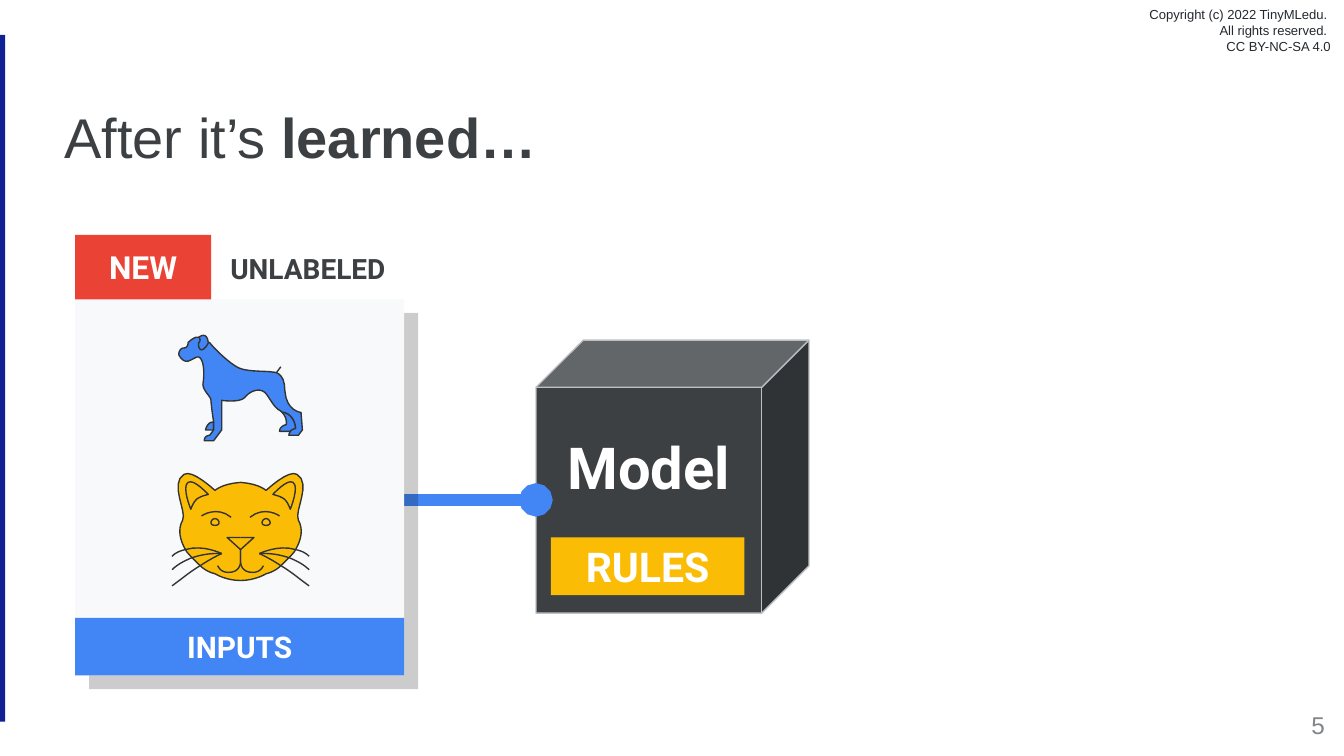
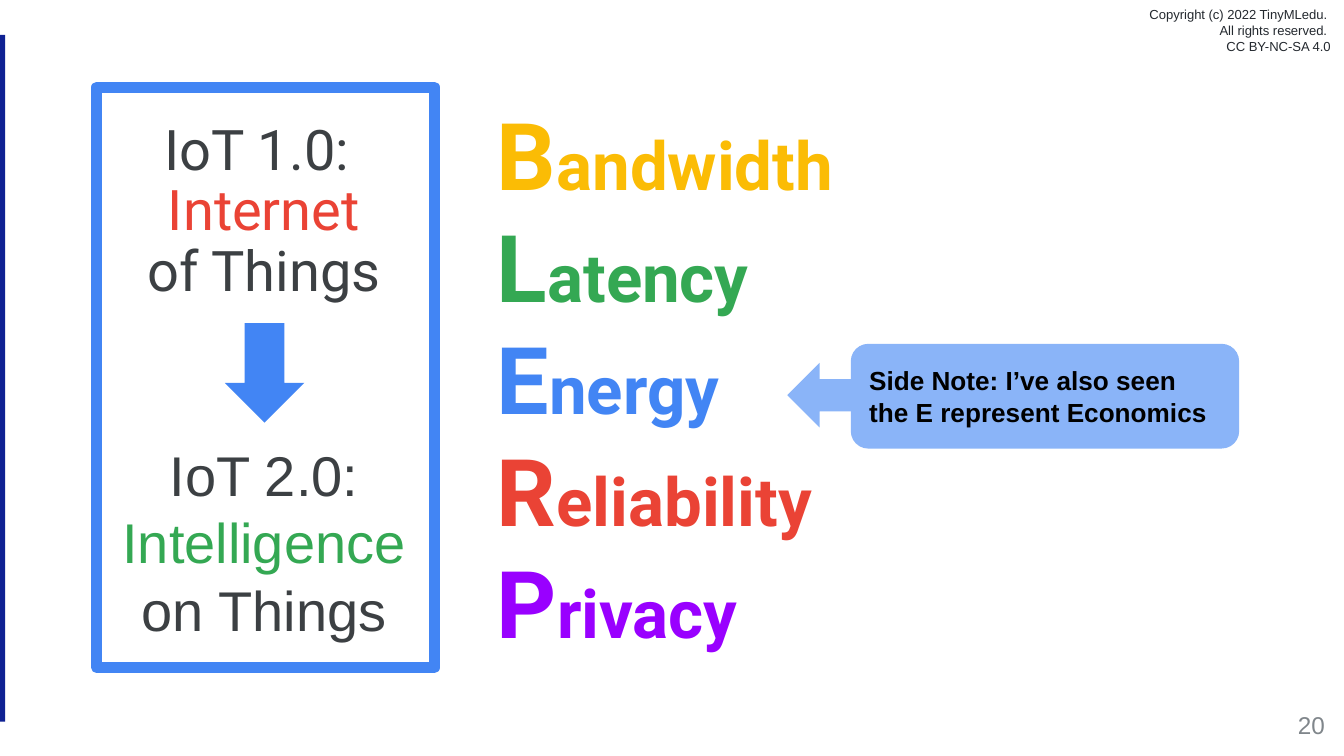
from lxml.etree import SubElement
from pptx import Presentation
from pptx.dml.color import RGBColor
from pptx.enum.shapes import MSO_CONNECTOR, MSO_SHAPE
from pptx.enum.text import MSO_ANCHOR, MSO_AUTO_SIZE, PP_ALIGN
from pptx.oxml.ns import qn
from pptx.util import Cm, Pt

COLORS = {
    "navy": "0F2193", "ink": "24292F", "dark": "3C4043", "gray": "80868B",
    "edge": "BDC1C6", "panel": "F8F9FA", "white": "FFFFFF", "black": "000000",
    "blue": "4285F4", "sky": "8AB4F8", "red": "EA4335", "yellow": "FBBC05",
    "green": "34A853", "purple": "9900FF", "outline": "333333",
}
COPYRIGHT = ["Copyright (c) 2022 TinyMLedu. ", "All rights reserved. ", "CC BY-NC-SA 4.0"]
LEARNED_TITLE = [["After it’s", (" learned…", {"bold": True})]]
IOT_FIRST = ["IoT 1.0: ", [("Internet", {"color": "red"})], "of Things"]
IOT_SECOND = [["IoT 2.0: ", ("Intelligence", {"color": "green"}), " on Things"]]
BENEFITS = [("Bandwidth", "yellow"), ("Latency", "green"), ("Energy", "blue"),
            ("Reliability", "red"), ("Privacy", "purple")]
SIDE_NOTE = ["Side Note: I’ve also seen the E represent Economics"]

# Each stroke is a start point, then lines (2 numbers) and curves (6 numbers).
ART_UNIT = Cm(0.0254)
DOG_REAR_LEG = [(209, 306), (209, 306, 214, 310, 213, 316), (213, 316, 208, 317, 208, 321),
                (216, 321), (220, 319), (220, 319, 220, 310, 212, 307), (209, 306)]
DOG_FRONT_PAW = [(159, 320), (153, 320), (153, 320, 154, 314, 159, 314), (159, 320)]
DOG_BODY = [
    (148, 251), (148, 251, 147, 251, 146, 251), (143, 252, 141, 254, 140, 255),
    (140, 257, 139, 259, 137, 259), (134, 259, 133, 262, 133, 264),
    (134, 266, 137, 271, 142, 268), (146, 266, 148, 264, 150, 268),
    (152, 272, 152, 280, 151, 286), (151, 291, 157, 295, 157, 298),
    (157, 300, 158, 308, 159, 314), (159, 320), (156, 324),
    (156, 324, 152, 324, 152, 328), (159, 328), (165, 320), (165, 298),
    (165, 298, 178, 300, 182, 296), (185, 292, 192, 288, 197, 292),
    (201, 296, 203, 303, 209, 306), (210, 307, 211, 307, 212, 307),
    (220, 310, 220, 319, 220, 319), (220, 319, 218, 319, 216, 321),
    (216, 322, 215, 322, 215, 324), (222, 324), (225, 320), (224, 307),
    (224, 307, 213, 306, 212, 291), (212, 276, 203, 277, 203, 277),
    (200, 276, 185, 277, 178, 274), (171, 271, 159, 259, 156, 255), (155, 255), (148, 251),
]
DOG_EAR = [(155, 255), (154, 246, 148, 251, 148, 251), (148, 251, 150, 253, 148, 255),
           (147, 258, 149, 260, 149, 260), (151, 262, 155, 256, 155, 255)]
DOG_TAIL = [(209, 273), (206, 277)]

CAT_MIDDLE = 179
CAT_HALF_HEAD = [
    (179, 359), (165, 360, 160, 365, 160, 365), (160, 365, 143, 349, 137, 353),
    (126, 360, 139, 380, 136, 387), (132, 394, 134, 402, 138, 409),
    (139, 411, 141, 413, 143, 415), (145, 417, 147, 419, 149, 421),
    (152, 424, 156, 426, 160, 427), (160, 427, 168, 432, 179, 432),
]
CAT_HALF_FEATURES = [
    [(155, 368), (155, 368, 144, 356, 140, 359), (135, 362, 142, 379, 142, 379),
     (142, 379, 144, 373, 147, 371), (150, 369, 155, 368, 155, 368)],
    [(163, 389), (163, 390, 162, 391, 160, 391), (158, 391, 157, 390, 157, 389),
     (157, 388, 158, 386, 160, 386), (162, 386, 163, 388, 163, 389)],
    [(150, 384), (150, 384, 161, 376, 172, 385)],
    [(165, 412), (165, 412, 151, 405, 138, 409), (134, 410, 131, 411, 128, 414)],
    [(165, 412), (165, 412, 155, 411, 143, 415), (138, 417, 132, 420, 128, 424)],
    [(165, 412), (165, 412, 158, 415, 149, 421), (142, 425, 135, 431, 128, 436)],
    [(179, 400), (169, 400), (179, 409), (179, 418),
     (179, 420, 178, 426, 170, 426), (165, 426, 163, 423, 162, 421)],
]


def rgb(name):
    return RGBColor.from_string(COLORS[name])


def style_font(font, color=None, size=None, name=None, bold=None):
    if color:
        font.color.rgb = rgb(color)
    if size:
        font.size = Pt(size)
    if name:
        font.name = name
    if bold is not None:
        font.bold = bold


def write(shape, lines, size, color, name="Roboto", bold=False, align=PP_ALIGN.CENTER,
          anchor=MSO_ANCHOR.MIDDLE, spacing=None, bottom=0.25):
    frame = shape.text_frame
    frame.word_wrap = True
    frame.auto_size = MSO_AUTO_SIZE.NONE
    frame.vertical_anchor = anchor
    frame.margin_left = frame.margin_right = frame.margin_top = Cm(0.25)
    frame.margin_bottom = Cm(bottom)
    for index, line in enumerate(lines):
        para = frame.add_paragraph() if index else frame.paragraphs[0]
        para.alignment = align
        if spacing:
            para.line_spacing = spacing
        style_font(para.font, color, size, name, bold)
        for part in [line] if isinstance(line, str) else line:
            text, changes = (part, {}) if isinstance(part, str) else part
            span = para.add_run()
            span.text = text
            style_font(span.font, **changes)


def paint(shape, fill=None, line=None, width=0.75):
    shape.shadow.inherit = False
    if fill:
        shape.fill.solid()
        shape.fill.fore_color.rgb = rgb(fill)
    else:
        shape.fill.background()
    if line:
        shape.line.color.rgb = rgb(line)
        shape.line.width = Pt(width)
    else:
        shape.line.fill.background()
    return shape


def add_box(page, kind, place, fill=None, line=None, width=0.75):
    return paint(page.shapes.add_shape(kind, *map(Cm, place)), fill, line, width)


def add_text(page, place, lines, size, color, **options):
    write(page.shapes.add_textbox(*map(Cm, place)), lines, size, color, **options)


def set_title(page, place, lines, align):
    title = page.shapes.title
    title.left, title.top, title.width, title.height = map(Cm, place)
    write(title, lines, 30, "dark", name="Arial", align=align, anchor=MSO_ANCHOR.TOP)


def trace(stroke, steps=8):
    points = [stroke[0]]
    for segment in stroke[1:]:
        if len(segment) == 2:
            points.append(segment)
            continue
        controls = (points[-1], segment[:2], segment[2:4], segment[4:])
        for step in range(1, steps + 1):
            t = step / steps
            weights = ((1 - t) ** 3, 3 * t * (1 - t) ** 2, 3 * t * t * (1 - t), t ** 3)
            points.append(tuple(sum(weight * control[axis] for weight, control in zip(weights, controls))
                                for axis in (0, 1)))
    return points


def mirror(points):
    return [(2 * CAT_MIDDLE - x, y) for x, y in points]


def draw(page, contours, fill=None):
    scaled = [[(x * ART_UNIT, y * ART_UNIT) for x, y in points] for points in contours]
    builder = page.shapes.build_freeform(*scaled[0][0])
    for index, points in enumerate(scaled):
        if index:
            builder.move_to(*points[0])
        builder.add_line_segments(points[1:], close=bool(fill))
    paint(builder.convert_to_shape(), fill, "outline")


def draw_cat(page):
    half = trace(CAT_HALF_HEAD)
    draw(page, [half + mirror(half)[::-1]], "yellow")
    features = [trace(stroke) for stroke in CAT_HALF_FEATURES]
    draw(page, features + [mirror(points) for points in features])


def draw_dog(page):
    for stroke in (DOG_REAR_LEG, DOG_FRONT_PAW, DOG_BODY, DOG_EAR):
        draw(page, [trace(stroke)], "blue")
    draw(page, [DOG_TAIL])


def cast_shadow(shape):
    effects = shape._element.spPr.find(qn("a:effectLst"))
    shadow = SubElement(effects, qn("a:outerShdw"), blurRad="0", dist=str(Pt(10.5)),
                        dir=str(44 * 60000), algn="bl", rotWithShape="0")
    color = SubElement(shadow, qn("a:srgbClr"), val=COLORS["black"])
    SubElement(color, qn("a:alpha"), val="20000")


def add_dot_connector(page, start, end):
    connector = page.shapes.add_connector(MSO_CONNECTOR.CURVE, *map(Cm, start + end))
    connector.line.color.rgb = rgb("blue")
    connector.line.width = Pt(6)
    SubElement(connector.line._get_or_add_ln(), qn("a:tailEnd"), type="oval")
    SubElement(connector._element.spPr, qn("a:effectLst"))


def add_number(page, number):
    add_text(page, (23.77, 13.18, 1.52, 1.09), [number], 13, "gray", name="Arial",
             align=PP_ALIGN.RIGHT, anchor=MSO_ANCHOR.TOP)


def furnish_layout(layout, page):
    for holder in list(layout.placeholders):
        if holder.placeholder_format.idx:
            holder.element.getparent().remove(holder.element)
    add_text(page, (20.75, 0, 4.65, 1.14), COPYRIGHT, 7, "ink", name="Arial", align=PP_ALIGN.RIGHT)
    add_box(page, MSO_SHAPE.RECTANGLE, (-0.05, 0.66, 0.15, 12.98), "navy")
    for shape in list(page.shapes)[-2:]:
        layout.shapes.element.append(shape.element)


def build_learned(page):
    cube = add_box(page, MSO_SHAPE.CUBE, (10.13, 6.43, 5.16, 5.16), "dark", "edge")
    cube.adjustments[0] = 0.173
    write(cube, ["Model"], 31, "white", bold=True, bottom=1.53)
    rules = add_box(page, MSO_SHAPE.RECTANGLE, (10.41, 10.16, 3.66, 1.09), "yellow")
    write(rules, ["RULES"], 22, "white", bold=True)
    set_title(page, (0.97, 1.68, 9.78, 2.69), LEARNED_TITLE, PP_ALIGN.LEFT)
    new = add_box(page, MSO_SHAPE.RECTANGLE, (1.42, 4.44, 2.57, 1.24), "red")
    write(new, ["NEW"], 17, "white", bold=True, anchor=MSO_ANCHOR.TOP)
    add_dot_connector(page, (7.04, 9.45), (10.13, 9.45))
    cast_shadow(add_box(page, MSO_SHAPE.RECTANGLE, (1.42, 5.66, 6.22, 7.11), "panel"))
    add_text(page, (3.99, 4.52, 3.66, 1.09), ["UNLABELED"], 15, "dark", bold=True)
    inputs = add_box(page, MSO_SHAPE.RECTANGLE, (1.42, 11.68, 6.22, 1.09), "blue")
    write(inputs, ["INPUTS"], 16, "white", bold=True)
    draw_cat(page)
    draw_dog(page)
    add_number(page, "5")


def build_benefits(page):
    add_number(page, "20")
    add_text(page, (1.93, 2.06, 6.12, 3.99), IOT_FIRST, 30, "dark",
             anchor=MSO_ANCHOR.TOP, spacing=0.9)
    set_title(page, (1.93, 8.08, 6.12, 1.5), IOT_SECOND, PP_ALIGN.CENTER)
    arrow = add_box(page, MSO_SHAPE.RIGHT_ARROW, (4.06, 6.3, 1.88, 1.5), "blue")
    arrow.rotation = 90
    add_box(page, MSO_SHAPE.RECTANGLE, (1.83, 1.65, 6.38, 10.97), line="blue", width=6)
    words = [[(word[0], {"color": color, "size": 50}), (word[1:], {"color": color})]
             for word, color in BENEFITS]
    add_text(page, (9.14, 2.13, 10.24, 10.01), words, 36, "dark", bold=True, align=PP_ALIGN.LEFT)
    note = add_box(page, MSO_SHAPE.ROUNDED_RECTANGLE, (16.08, 6.5, 7.34, 1.98), "sky")
    write(note, SIDE_NOTE, 14, "black", name="Arial", bold=True, align=PP_ALIGN.LEFT)
    add_box(page, MSO_SHAPE.LEFT_ARROW, (14.88, 6.86, 1.4, 1.22), "sky")


def main():
    deck = Presentation()
    deck.slide_width, deck.slide_height = Cm(25.4), Cm(14.29)
    layout = deck.slide_layouts[5]
    learned, benefits = (deck.slides.add_slide(layout) for _ in range(2))
    furnish_layout(layout, learned)
    build_learned(learned)
    build_benefits(benefits)
    deck.save("out.pptx")


if __name__ == "__main__":
    main()
